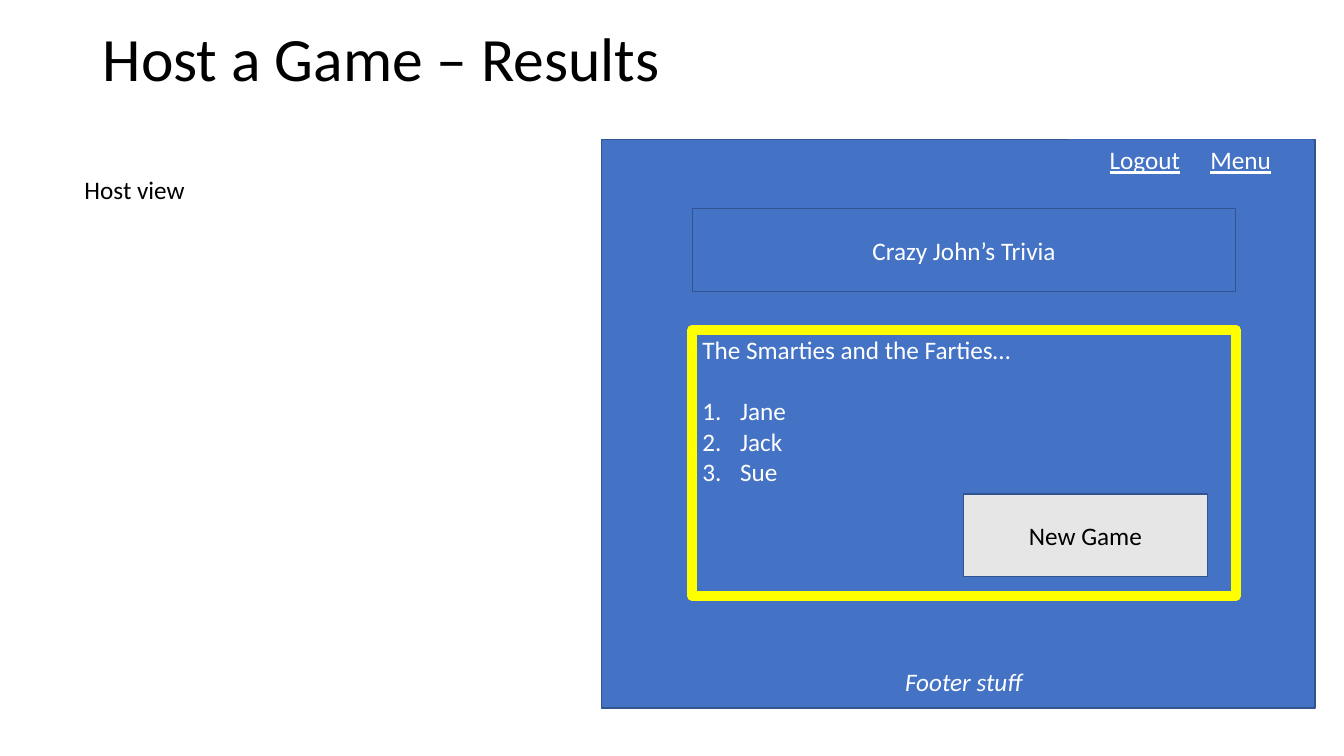
from lxml import etree
from pptx import Presentation
from pptx import util as u
from pptx.dml.color import RGBColor
from pptx.enum import shapes, text as t
from pptx.oxml import ns

COLORS = {"blue": "4472C4", "outline": "325491", "yellow": "FFFF00",
          "gray": "E7E6E6", "white": "FFFFFF", "black": "000000"}


def add_box(left, top, width, height, fill="blue", line=None, line_width=1):
    """Add a rectangle, without an outline unless a line colour is named."""
    shape = slide.shapes.add_shape(shapes.MSO_SHAPE.RECTANGLE, u.Cm(left), u.Cm(top),
                                   u.Cm(width), u.Cm(height))
    shape.shadow.inherit = False
    shape.fill.solid()
    shape.fill.fore_color.rgb = RGBColor.from_string(COLORS[fill])
    if line:
        shape.line.color.rgb = RGBColor.from_string(COLORS[line])
        shape.line.width = u.Pt(line_width)
    else:
        shape.line.fill.background()
    shape.text_frame.vertical_anchor = t.MSO_ANCHOR.MIDDLE
    return shape


def add_text(paragraph, text, size=18, color="white", align=t.PP_ALIGN.CENTER,
             italic=False, underline=False):
    paragraph.alignment = align
    run = paragraph.add_run()
    run.text = text
    run.font.name = "Calibri"
    run.font.size = u.Pt(size)
    run.font.color.rgb = RGBColor.from_string(COLORS[color])
    run.font.italic = italic
    run.font.underline = underline


presentation = Presentation()
presentation.slide_width = u.Cm(33.87)
presentation.slide_height = u.Cm(19.05)
slide = presentation.slides.add_slide(presentation.slide_layouts[6])

add_box(15.16, 3.51, 17.98, 14.33, line="outline")

# Title and view label
title = slide.shapes.add_textbox(u.Cm(2.34), 0, u.Cm(29.21), u.Cm(3.1)).text_frame
title.word_wrap = True
title.vertical_anchor = t.MSO_ANCHOR.MIDDLE
title.paragraphs[0].line_spacing = 0.9
add_text(title.paragraphs[0], "Host a Game – Results", size=44, color="black",
         align=t.PP_ALIGN.LEFT)

label = slide.shapes.add_textbox(u.Cm(1.88), u.Cm(4.27), u.Cm(3.18), u.Cm(1.02)).text_frame
label.word_wrap = False
label.auto_size = t.MSO_AUTO_SIZE.SHAPE_TO_FIT_TEXT
add_text(label.paragraphs[0], "Host view", color="black", align=t.PP_ALIGN.LEFT)

# Game name
game = add_box(17.45, 5.26, 13.69, 2.08, line="outline")
add_text(game.text_frame.paragraphs[0], "Crazy John’s Trivia")

# Ranking
results = add_box(17.45, 8.31, 13.69, 6.71, line="yellow", line_width=7.25).text_frame
results.vertical_anchor = t.MSO_ANCHOR.TOP
add_text(results.paragraphs[0], "The Smarties and the Farties…", align=t.PP_ALIGN.LEFT)
for rank, player in enumerate(["Jane", "Jack", "Sue"]):
    paragraph = results.add_paragraph()
    properties = paragraph._p.get_or_add_pPr()
    properties.set("marL", str(u.Cm(0.95)))
    properties.set("indent", str(-u.Cm(0.95)))
    font = etree.SubElement(properties, ns.qn("a:buFont"))
    font.set("typeface", "+mj-lt")
    number = etree.SubElement(properties, ns.qn("a:buAutoNum"))
    number.set("type", "arabicPeriod")
    if rank == 0:
        paragraph.space_before = u.Pt(22)
    add_text(paragraph, player, align=t.PP_ALIGN.LEFT)

# Navigation, footer and button
navigation = add_box(26.92, 3.51, 6.15, 1.04).text_frame.paragraphs[0]
for text, underline in [("Logout", True), ("\t", False), ("Menu", True)]:
    add_text(navigation, text, underline=underline)

footer = add_box(21.21, 16.64, 6.15, 1.04)
add_text(footer.text_frame.paragraphs[0], "Footer stuff", italic=True)

button = add_box(24.28, 12.45, 6.15, 2.08, fill="gray", line="outline")
add_text(button.text_frame.paragraphs[0], "New Game", color="black")

presentation.save("out.pptx")
